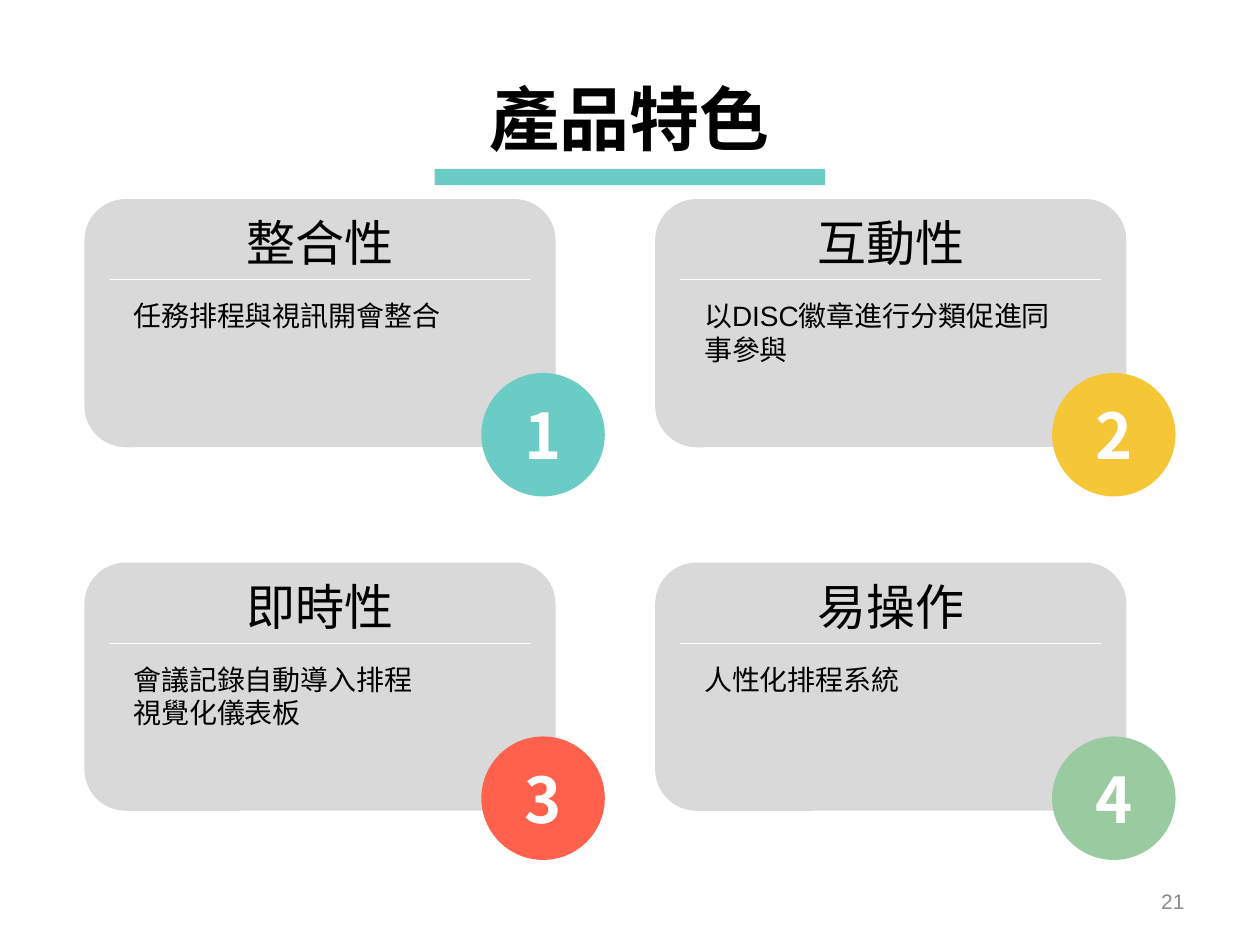
from dataclasses import dataclass

from pptx import Presentation
from pptx.dml.color import RGBColor
from pptx.enum import shapes, text
from pptx.oxml import ns
from pptx.util import Inches, Pt
from lxml import etree

BLACK = RGBColor(0x00, 0x00, 0x00)
WHITE = RGBColor(0xFF, 0xFF, 0xFF)
PANEL = RGBColor(0xD9, 0xD9, 0xD9)
GREY = RGBColor(0x8C, 0x8C, 0x8C)
TEAL = RGBColor(0x6B, 0xCB, 0xC5)
GOLD = RGBColor(0xF5, 0xC6, 0x36)
CORAL = RGBColor(0xFF, 0x61, 0x4C)
GREEN = RGBColor(0x9A, 0xCA, 0x9F)

SANS = "Arial"
HEAVY = "Noto Sans CJK SC"
FORM = shapes.MSO_SHAPE
ALIGN = text.PP_ALIGN
ANCHOR = text.MSO_ANCHOR

# Card grid: first corner and steps, in inches
LEFT, TOP = 0.67, 1.58
STEP_X, STEP_Y = 4.53, 2.885
WIDE, HIGH = 3.74, 1.97


@dataclass
class Box:
    x: float
    y: float
    w: float
    h: float

    def place(self) -> tuple:
        return tuple(Inches(v) for v in (self.x, self.y, self.w, self.h))


@dataclass
class Card:
    head: str
    lines: list[str]
    color: RGBColor


CARDS = [
    Card("整合性", ["任務排程與視訊開會整合"], TEAL),
    Card("互動性", ["以DISC徽章進行分類促進同事參與"], GOLD),
    Card("即時性", ["會議記錄自動導入排程", "視覺化儀表板"], CORAL),
    Card("易操作", ["人性化排程系統"], GREEN),
]


def write(frame, lines: list[str], size: int, color: RGBColor, align=ALIGN.LEFT,
          anchor=ANCHOR.TOP, bold: bool = False, font: str = SANS) -> None:
    frame.word_wrap = True
    frame.vertical_anchor = anchor
    for i, line in enumerate(lines):
        para = frame.paragraphs[0] if i == 0 else frame.add_paragraph()
        para.text = line
        para.alignment = align
        para.font.size = Pt(size)
        para.font.name = font
        para.font.bold = bold
        para.font.color.rgb = color


def add_text(slide, box: Box, lines: list[str], size: int, color: RGBColor = BLACK,
             **style) -> None:
    label = slide.shapes.add_textbox(*box.place())
    write(label.text_frame, lines, size, color, **style)


def add_form(slide, kind, box: Box, color: RGBColor):
    form = slide.shapes.add_shape(kind, *box.place())
    form.shadow.inherit = False
    form.fill.solid()
    form.fill.fore_color.rgb = color
    form.line.fill.background()
    return form


def add_rule(slide, x: float, y: float, w: float) -> None:
    rule = slide.shapes.add_connector(shapes.MSO_CONNECTOR.STRAIGHT, Inches(x),
                                      Inches(y), Inches(x + w), Inches(y))
    rule.line.color.rgb = WHITE
    rule.line.width = Pt(0.75)
    etree.SubElement(rule.element.spPr, ns.qn("a:effectLst"))


def add_card(slide, card: Card, num: int, x: float, y: float) -> None:
    add_form(slide, FORM.ROUNDED_RECTANGLE, Box(x, y, WIDE, HIGH), PANEL)
    add_rule(slide, x + 0.2, y + 0.64, WIDE - 0.4)
    add_text(slide, Box(x + 0.2, y + 0.06, WIDE - 0.4, 0.57), [card.head], 28,
             align=ALIGN.CENTER)
    add_text(slide, Box(x + 0.29, y + 0.74, 2.95, 0.91), card.lines, 16)
    # Number badge over the lower right corner
    badge = add_form(slide, FORM.OVAL, Box(x + 3.15, y + 1.38, 0.98, 0.98), card.color)
    write(badge.text_frame, [str(num)], 36, WHITE, align=ALIGN.CENTER,
          anchor=ANCHOR.MIDDLE, bold=True, font=HEAVY)


def main() -> None:
    deck = Presentation()
    deck.slide_width, deck.slide_height = Inches(10), Inches(7.5)
    slide = deck.slides.add_slide(deck.slide_layouts[6])

    # Feature cards, two by two
    for i, card in enumerate(CARDS):
        row, col = divmod(i, 2)
        add_card(slide, card, i + 1, LEFT + col * STEP_X, TOP + row * STEP_Y)

    # Title with its bar
    add_form(slide, FORM.RECTANGLE, Box(3.45, 1.34, 3.1, 0.13), TEAL)
    add_text(slide, Box(2.19, 0.55, 5.61, 0.77), ["產品特色"], 40,
             align=ALIGN.CENTER, anchor=ANCHOR.MIDDLE, bold=True)

    # Page number
    add_text(slide, Box(7.17, 6.95, 2.33, 0.4), ["21"], 12, GREY,
             align=ALIGN.RIGHT, anchor=ANCHOR.MIDDLE)

    deck.save("out.pptx")


if __name__ == "__main__":
    main()
